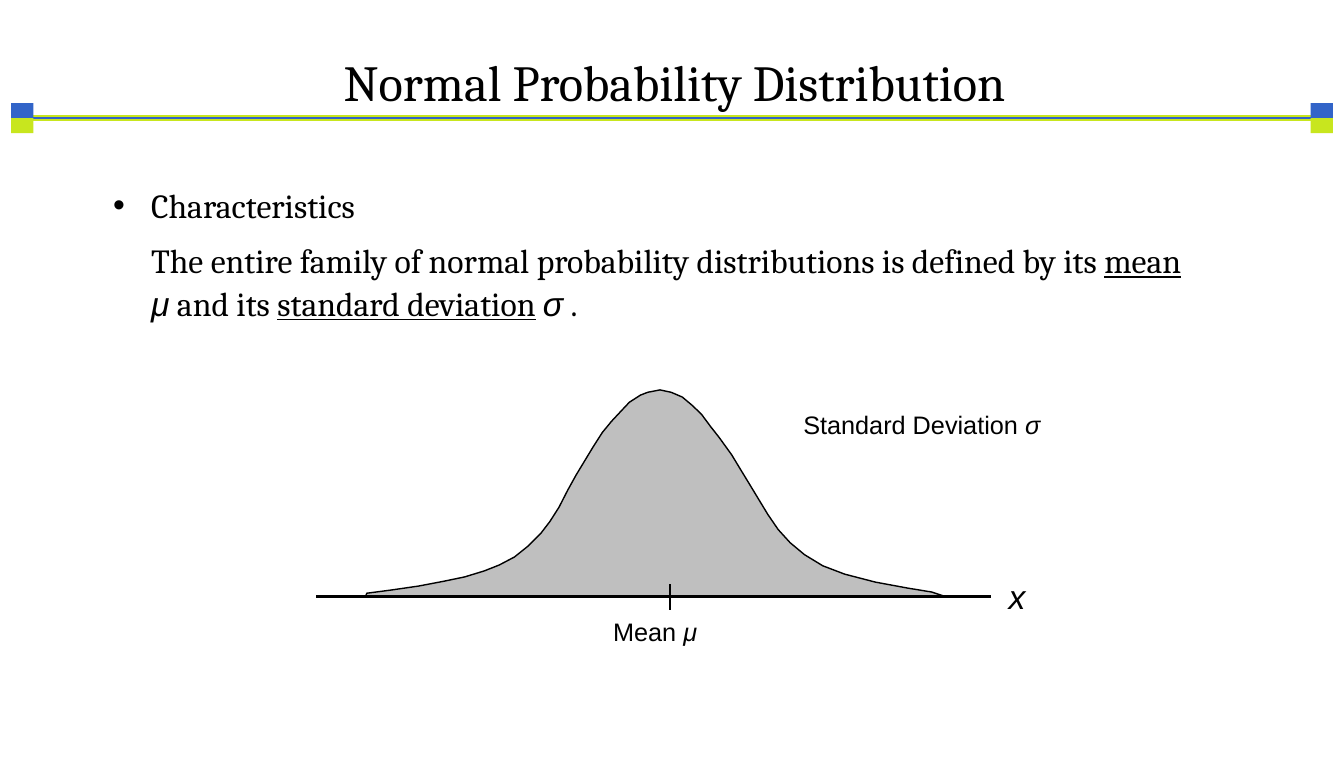
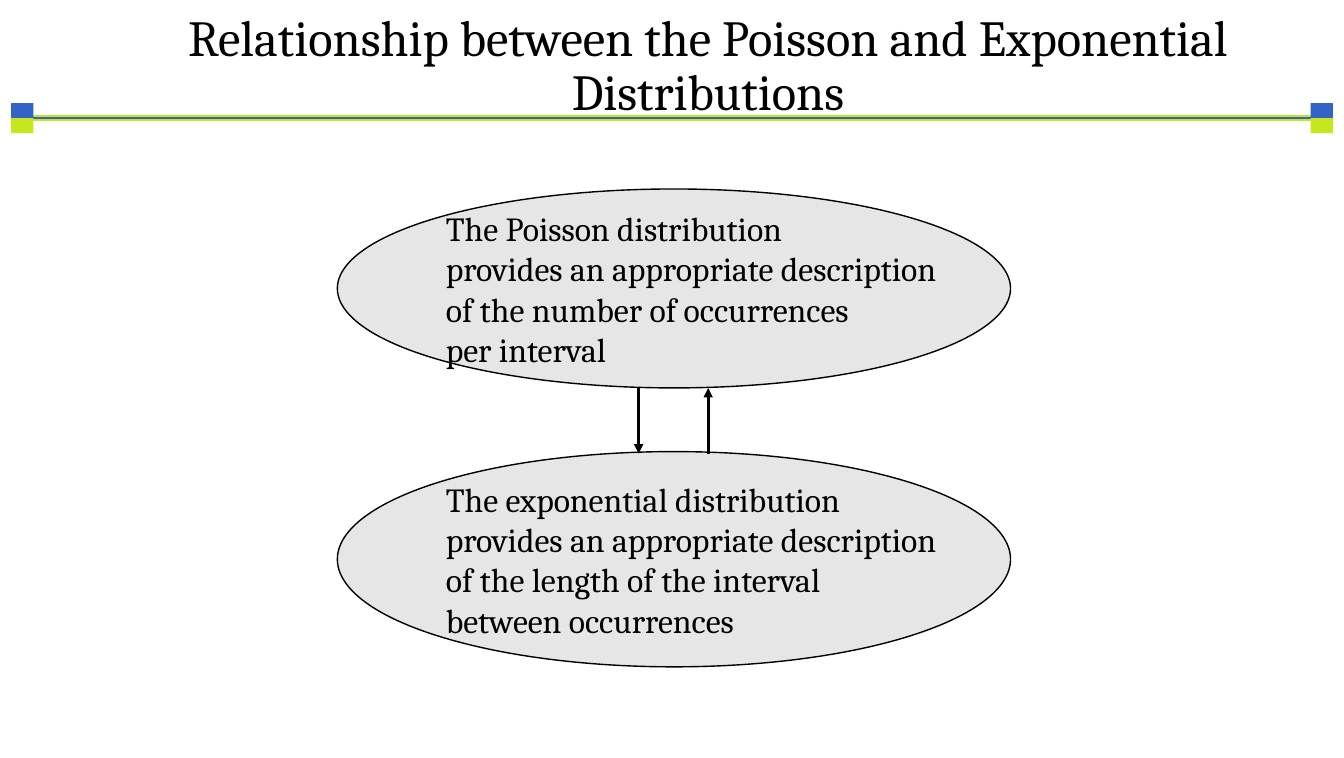
"""Build two slides on the normal, Poisson and exponential distributions."""
from pptx import Presentation
from pptx.dml.color import RGBColor
from pptx.enum.shapes import MSO_CONNECTOR, MSO_SHAPE
from pptx.enum.text import MSO_ANCHOR, MSO_AUTO_SIZE, PP_ALIGN
from pptx.oxml.ns import qn
from pptx.util import Cm, Pt

STRAIGHT = MSO_CONNECTOR.STRAIGHT
RECTANGLE, OVAL = MSO_SHAPE.RECTANGLE, MSO_SHAPE.OVAL
MIDDLE, TOP = MSO_ANCHOR.MIDDLE, MSO_ANCHOR.TOP
NO_AUTOFIT = MSO_AUTO_SIZE.NONE
LEFT, CENTER = PP_ALIGN.LEFT, PP_ALIGN.CENTER

COLORS = {"text": "000000", "lime": "C8E61E", "blue": "3264C8",
          "curve": "BFBFBF", "ellipse": "E7E6E6"}
SERIF, SANS = "Cambria", "Arial"
SLIDE_WIDTH, SLIDE_HEIGHT = 33.78, 19.05
RULE_TOP, SQUARE_MARGIN, SQUARE_WIDTH, SQUARE_HEIGHT = 2.97, 0.28, 0.56, 0.38
AXIS_TOP = 14.99
ARROW_TOP, ARROW_BOTTOM = 9.75, 11.4

# Hundredths of a centimetre, from the left foot over the peak to the right foot.
CURVE_POINTS = [
    (919, 1499), (922, 1491), (983, 1483), (1052, 1473), (1115, 1461),
    (1168, 1450), (1217, 1435), (1255, 1420), (1293, 1400), (1328, 1372),
    (1359, 1341), (1382, 1311), (1405, 1275), (1427, 1232), (1448, 1194),
    (1471, 1156), (1491, 1123), (1514, 1087), (1537, 1059), (1565, 1029),
    (1582, 1011), (1610, 993), (1628, 986), (1659, 980), (1687, 986),
    (1715, 998), (1740, 1019), (1763, 1041), (1786, 1072), (1808, 1100),
    (1839, 1143), (1862, 1181), (1887, 1222), (1913, 1265), (1930, 1293),
    (1956, 1331), (1986, 1364), (2022, 1394), (2068, 1422), (2123, 1443),
    (2200, 1463), (2281, 1478), (2342, 1488), (2375, 1499),
]
ELLIPSES = [
    (4.75, 5.0, ["The Poisson distribution",
                 "provides an appropriate description",
                 "of the number of occurrences",
                 "per interval"]),
    (11.35, 5.41, ["The exponential distribution",
                   "provides an appropriate description",
                   "of the length of the interval",
                   "between occurrences"]),
]


def color(name):
    """Return the named palette colour."""
    return RGBColor.from_string(COLORS[name])


def place(shape, left, top, width, height):
    """Move and size a shape in centimetres."""
    shape.left, shape.top = Cm(left), Cm(top)
    shape.width, shape.height = Cm(width), Cm(height)


def format_run(run, size, font=SERIF, italic=False, underline=False):
    """Apply the text style to a run."""
    run.font.name, run.font.size = font, Pt(size)
    run.font.italic, run.font.underline = italic, underline
    run.font.color.rgb = color("text")


def add_runs(paragraph, size, runs):
    """Add runs given as pairs of text and style."""
    for text, style in runs:
        run = paragraph.add_run()
        run.text = text
        format_run(run, size, **style)


def style_shape(shape, fill, line_width=None):
    """Give a shape a flat fill and an optional black outline."""
    shape.shadow.inherit = False
    shape.fill.solid()
    shape.fill.fore_color.rgb = color(fill)
    if line_width is None:
        shape.line.fill.background()
    else:
        shape.line.color.rgb = color("text")
        shape.line.width = Pt(line_width)


def add_line(slide, start, end, width, line_color="text", arrow=False):
    """Draw a straight line, with an arrowhead at its end if wanted."""
    line = slide.shapes.add_connector(STRAIGHT, *map(Cm, start + end))
    line.line.color.rgb = color(line_color)
    line.line.width = Pt(width)
    properties = line.element.spPr
    properties.append(properties.makeelement(qn("a:effectLst"), {}))
    if arrow:
        outline = properties.find(qn("a:ln"))
        outline.append(outline.makeelement(qn("a:tailEnd"), {"type": "triangle"}))
    return line


def add_square(slide, left, top, fill):
    """Draw one end block of the title rule."""
    square = slide.shapes.add_shape(
        RECTANGLE, Cm(left), Cm(top), Cm(SQUARE_WIDTH), Cm(SQUARE_HEIGHT))
    style_shape(square, fill)
    return square


def move_title_rule_to_master(presentation, slide):
    """Draw the title rule once and hand it to the slide master."""
    right = SLIDE_WIDTH - SQUARE_MARGIN - SQUARE_WIDTH
    start, end = (SQUARE_MARGIN + SQUARE_WIDTH, RULE_TOP), (right, RULE_TOP)
    parts = [add_line(slide, start, end, 4.5, "lime"),
             add_line(slide, start, end, 1.75, "blue")]
    for left in (SQUARE_MARGIN, right):
        parts.append(add_square(slide, left, RULE_TOP - SQUARE_HEIGHT, "blue"))
        parts.append(add_square(slide, left, RULE_TOP, "lime"))
    tree = presentation.slide_master.shapes.element
    for number, part in enumerate(parts, start=101):
        part.element.xpath(".//p:cNvPr")[0].set("id", str(number))
        tree.append(part.element)


def set_title(slide, text, *position):
    """Fill and format the title placeholder."""
    title = slide.shapes.title
    place(title, *position)
    frame = title.text_frame
    frame.text = text
    frame.auto_size, frame.vertical_anchor = NO_AUTOFIT, MIDDLE
    paragraph = frame.paragraphs[0]
    paragraph.alignment, paragraph.line_spacing = CENTER, 0.9
    format_run(paragraph.runs[0], 36)


def fill_characteristics(slide):
    """Write the bullet and its explanation in the body placeholder."""
    body = slide.placeholders[1]
    place(body, 2.59, 4.52, 27.46, 4.1)
    frame = body.text_frame
    frame.text = "Characteristics"
    frame.auto_size, frame.vertical_anchor = NO_AUTOFIT, TOP
    heading, explanation = frame.paragraphs[0], frame.add_paragraph()
    heading.space_before = Pt(5)
    format_run(heading.runs[0], 24)
    symbol = {"font": SANS, "italic": True}
    add_runs(explanation, 24, [
        ("The entire family of normal probability distributions is defined by its ", {}),
        ("mean", {"underline": True}), (" ", {}), ("μ", symbol),
        (" and its ", {}), ("standard deviation", {"underline": True}),
        (" ", {}), ("σ", symbol), (" .", {})])
    explanation.space_before, explanation.line_spacing = Pt(9), 1.05
    properties = explanation._p.get_or_add_pPr()
    properties.set("indent", "0")
    properties.append(properties.makeelement(qn("a:buNone"), {}))


def add_label(slide, left, top, width, size, text, symbol):
    """Add a chart label that ends with an italic symbol."""
    label = slide.shapes.add_textbox(Cm(left), Cm(top), Cm(width), Cm(1.19))
    label.text_frame.word_wrap = True
    runs = [(text, {"font": SANS})] if text else []
    add_runs(label.text_frame.paragraphs[0], size,
             runs + [(symbol, {"font": SANS, "italic": True})])


def add_normal_curve(slide):
    """Draw the bell curve with its axis, mean mark and labels."""
    builder = slide.shapes.build_freeform(*CURVE_POINTS[0], scale=Cm(0.01))
    builder.add_line_segments(CURVE_POINTS[1:], close=True)
    style_shape(builder.convert_to_shape(), "curve", 1)
    add_line(slide, (16.84, 14.68), (16.84, 15.32), 1)
    add_label(slide, 19.94, 10.16, 7.87, 18, "Standard Deviation ", "σ")
    add_label(slide, 15.16, 15.37, 3.15, 18, "Mean ", "μ")
    add_label(slide, 25.1, 14.35, 0.94, 24, "", "x")
    add_line(slide, (7.95, AXIS_TOP), (24.92, AXIS_TOP), 1.5)


def add_ellipse(slide, top, height, lines):
    """Draw an ellipse holding the description of a distribution."""
    ellipse = slide.shapes.add_shape(OVAL, Cm(8.48), Cm(top), Cm(16.92), Cm(height))
    style_shape(ellipse, "ellipse", 1)
    frame = ellipse.text_frame
    frame.text = "\n".join(lines)
    frame.word_wrap, frame.vertical_anchor = False, MIDDLE
    for paragraph in frame.paragraphs:
        paragraph.alignment = LEFT
        format_run(paragraph.runs[0], 24)


def main():
    """Build and save the presentation."""
    presentation = Presentation()
    presentation.slide_width, presentation.slide_height = Cm(SLIDE_WIDTH), Cm(SLIDE_HEIGHT)
    layouts = presentation.slide_layouts

    normal = presentation.slides.add_slide(layouts.get_by_name("Title and Content"))
    move_title_rule_to_master(presentation, normal)
    set_title(normal, "Normal Probability Distribution", 2.59, 1.35, 28.73, 1.6)
    fill_characteristics(normal)
    add_normal_curve(normal)

    relationship = presentation.slides.add_slide(layouts.get_by_name("Title Only"))
    set_title(relationship, "Relationship between the Poisson and Exponential Distributions",
              2.67, 0.56, 30.25, 2.26)
    for top, height, lines in ELLIPSES:
        add_ellipse(relationship, top, height, lines)
    add_line(relationship, (16.05, ARROW_TOP), (16.05, ARROW_BOTTOM), 2.25, arrow=True)
    add_line(relationship, (17.8, ARROW_BOTTOM), (17.8, ARROW_TOP), 2.25, arrow=True)

    presentation.save("out.pptx")


if __name__ == "__main__":
    main()
